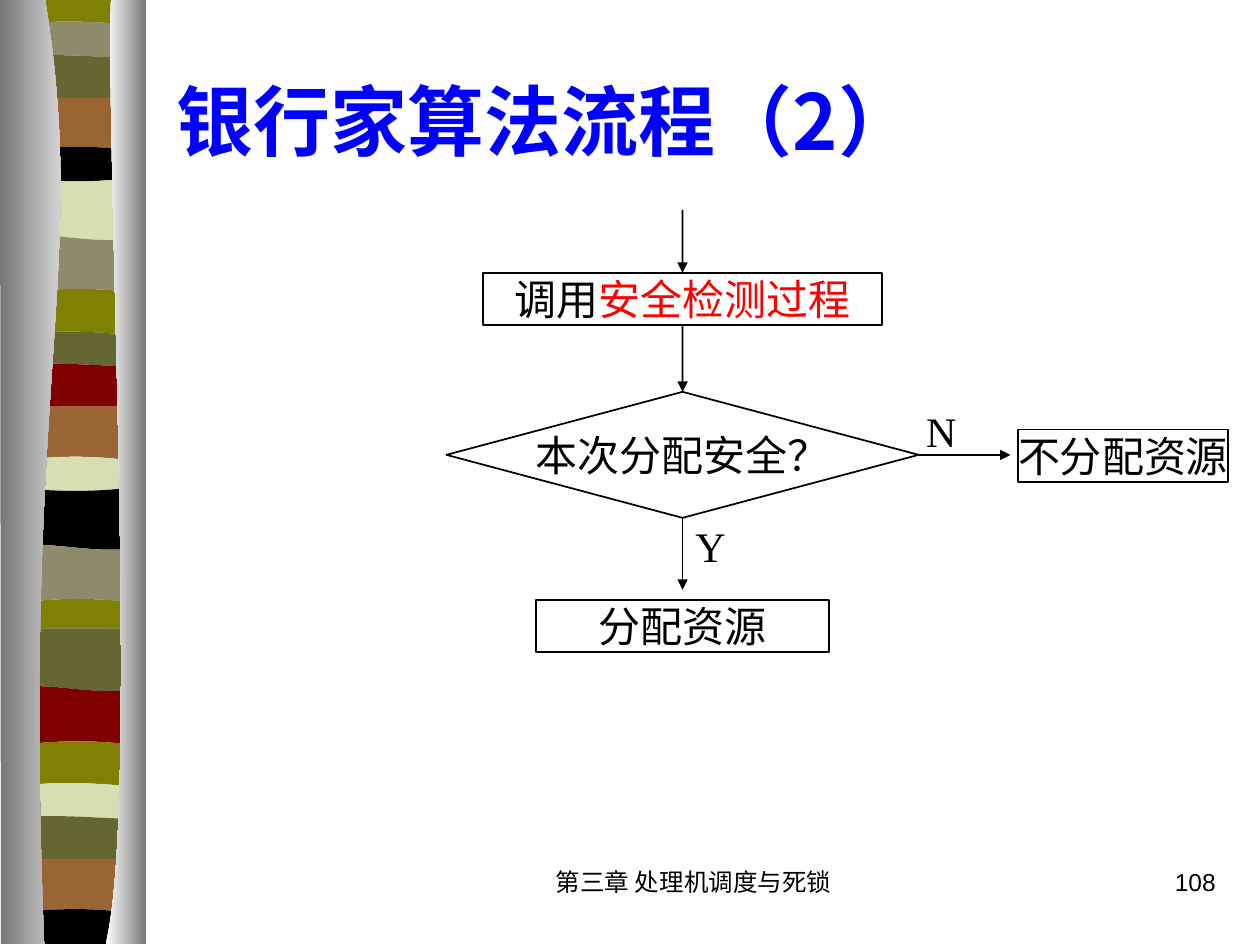
"""Build the banker's algorithm flowchart slide with its striped side border."""
import typing

import lxml.etree
import pptx
import pptx.dml.color
import pptx.enum.shapes
import pptx.enum.text
import pptx.oxml.ns
import pptx.util

Cm = pptx.util.Cm
qn = pptx.oxml.ns.qn
SHAPES = pptx.enum.shapes.MSO_SHAPE
ALIGN = pptx.enum.text.PP_ALIGN
ANCHOR = pptx.enum.text.MSO_ANCHOR
Point = tuple[float, float]

COLORS = {
    "black": "000000", "red": "FF0000", "title": "0000FF",
    "olive": "808000", "taupe": "908A6C", "moss": "666633", "brown": "996633",
    "cream": "D6DEB2", "maroon": "800000", "shade": "767676", "white": "FFFFFF",
}
CJK_FONT = "Noto Sans CJK SC"
BODY_FONT = "Times New Roman"
FOOTER_FONT = "Arial"
AXIS = 13.76
BAND_LEFT, BAND_RIGHT, BAND_BOTTOM = 0.15, 2.88, 19.03

WAVES = {
    "flat": (0, 0, 0, 0), "dip": (0, -0.15, -0.1, 0), "left": (0, -0.13, 0, 0),
    "arch": (0, -0.15, -0.15, 0), "bulge": (0, 0.13, 0.13, 0),
    "swell": (0, -0.15, 0.2, 0), "sag": (0.05, -0.1, -0.1, 0.03),
}


class Band(typing.NamedTuple):
    color: str
    top: float
    wave: str


class Step(typing.NamedTuple):
    kind: int
    left: float
    top: float
    width: float
    height: float
    runs: list[tuple[str, str]]


class Label(typing.NamedTuple):
    text: str
    left: float
    top: float
    width: float
    font: str
    size: float
    align: int


BANDS = [
    Band("olive", 0, "flat"), Band("taupe", 0.53, "dip"),
    Band("moss", 1.17, "left"), Band("brown", 1.98, "flat"),
    Band("black", 3.07, "arch"), Band("cream", 3.56, "bulge"),
    Band("taupe", 4.78, "swell"), Band("olive", 5.89, "sag"),
    Band("moss", 6.78, "dip"), Band("maroon", 7.39, "left"),
    Band("brown", 8.2, "flat"), Band("cream", 9.32, "arch"),
    Band("black", 9.8, "bulge"), Band("taupe", 11.02, "swell"),
    Band("olive", 12.14, "sag"), Band("moss", 12.67, "flat"),
    Band("maroon", 13.87, "swell"), Band("olive", 15.01, "sag"),
    Band("cream", 15.88, "dip"), Band("moss", 16.51, "left"),
    Band("brown", 17.32, "flat"), Band("black", 18.44, "arch"),
]

LEFT_PILLAR = [(0.91, 0), (1.8, 5.49), (0.43, 7.52), (0.89, 19.03), (0.02, 19.03), (0, 0)]
RIGHT_PILLAR = [(2.24, 0), (2.13, 3.18), (2.82, 16.41), (2.13, 19.03), (2.95, 19.03), (2.95, 0)]

STEPS = {
    "check": Step(SHAPES.RECTANGLE, AXIS - 4.02, 5.5, 8.04, 1.06,
                  [("调用", "black"), ("安全检测过程", "red")]),
    "decide": Step(SHAPES.FLOWCHART_DECISION, AXIS - 4.76, 7.9, 9.52, 2.54,
                   [("本次分配安全？", "black")]),
    "grant": Step(SHAPES.RECTANGLE, AXIS - 2.96, 12.09, 5.92, 1.06,
                  [("分配资源", "black")]),
    "refuse": Step(SHAPES.RECTANGLE, 20.52, 8.66, 4.24, 1.06,
                   [("不分配资源", "black")]),
}

LABELS = [
    Label("N", 18.42, 8.05, 1.9, BODY_FONT, 24, ALIGN.LEFT),
    Label("Y", 13.77, 10.36, 1.9, BODY_FONT, 24, ALIGN.LEFT),
    Label("第三章 处理机调度与死锁", 9.96, 17.35, 8.05, FOOTER_FONT, 14, ALIGN.CENTER),
    Label("108", 19.48, 17.35, 5.28, FOOTER_FONT, 14, ALIGN.RIGHT),
]


def rgb(name: str) -> pptx.dml.color.RGBColor:
    return pptx.dml.color.RGBColor.from_string(COLORS[name])


def write(frame, runs: list[tuple[str, str]], *, font: str = BODY_FONT,
          size: float = 24, bold: bool = False, align: int = ALIGN.CENTER,
          anchor: int = ANCHOR.MIDDLE, wrap: bool = True) -> None:
    frame.auto_size = pptx.enum.text.MSO_AUTO_SIZE.NONE
    frame.word_wrap = wrap
    frame.vertical_anchor = anchor
    paragraph = frame.paragraphs[0]
    paragraph.alignment = align
    for text, color in runs:
        run = paragraph.add_run()
        run.text = text
        run.font.name = font
        run.font.size = pptx.util.Pt(size)
        run.font.bold = bold
        run.font.color.rgb = rgb(color)
        east_asian = lxml.etree.SubElement(run.font._element, qn("a:ea"))
        east_asian.set("typeface", CJK_FONT)


def band_edge(band: Band) -> list[Point]:
    span = BAND_RIGHT - BAND_LEFT
    return [(BAND_LEFT + span * index / 3, band.top + offset)
            for index, offset in enumerate(WAVES[band.wave])]


def draw_outline(slide, points: list[Point], curve_starts: tuple[int, ...],
                 colors: list[str]) -> None:
    corners = [(Cm(x), Cm(y)) for x, y in points]
    builder = slide.shapes.build_freeform(*corners[0])
    builder.add_line_segments(corners[1:], close=True)
    outline = builder.convert_to_shape()
    segments = list(outline._element.iter(qn("a:lnTo")))
    for start in curve_starts:
        curve = lxml.etree.Element(qn("a:cubicBezTo"))
        segments[start - 1].addprevious(curve)
        for segment in segments[start - 1:start + 2]:
            curve.append(segment[0])
            segment.getparent().remove(segment)
    outline.shadow.inherit = False
    outline.line.fill.background()
    if len(colors) == 1:
        outline.fill.solid()
        outline.fill.fore_color.rgb = rgb(colors[0])
        return
    outline.fill.gradient()
    outline.fill.gradient_angle = 0
    for stop, color in zip(outline.fill.gradient_stops, colors):
        stop.color.rgb = rgb(color)


def draw_border(slide) -> None:
    edges = [band_edge(band) for band in BANDS]
    edges.append(band_edge(Band("black", BAND_BOTTOM, "flat")))
    for band, upper, lower in zip(BANDS, edges, edges[1:]):
        draw_outline(slide, upper + lower[::-1], (1, 5), [band.color])
    draw_outline(slide, LEFT_PILLAR, (1,), ["shade", "white"])
    draw_outline(slide, RIGHT_PILLAR, (1,), ["white", "shade"])


def draw_step(slide, step: Step):
    node = slide.shapes.add_shape(step.kind, Cm(step.left), Cm(step.top),
                                  Cm(step.width), Cm(step.height))
    node.shadow.inherit = False
    node.fill.background()
    node.line.color.rgb = rgb("black")
    node.line.width = pptx.util.Pt(1)
    write(node.text_frame, step.runs, wrap=False)
    return node


def draw_arrow(slide, start: Point, end: Point, source=None, source_side: int = 2,
               target=None) -> None:
    arrow = slide.shapes.add_connector(pptx.enum.shapes.MSO_CONNECTOR.STRAIGHT,
                                       *(Cm(value) for value in start + end))
    if source is not None:
        arrow.begin_connect(source, source_side)
    if target is not None:
        arrow.end_connect(target, 0)
    arrow.line.color.rgb = rgb("black")
    arrow.line.width = pptx.util.Pt(1)
    tail = lxml.etree.SubElement(arrow.line._get_or_add_ln(), qn("a:tailEnd"))
    tail.set("type", "triangle")
    lxml.etree.SubElement(arrow._element.spPr, qn("a:effectLst"))


def main() -> None:
    deck = pptx.Presentation()
    deck.slide_width, deck.slide_height = Cm(25.4), Cm(19.05)
    slide = deck.slides.add_slide(deck.slide_layouts[5])
    draw_border(slide)

    title = slide.shapes.title
    title.left, title.top, title.width, title.height = Cm(3.3), Cm(1.32), Cm(19.43), Cm(2.18)
    write(title.text_frame, [("银行家算法流程（2）", "title")], font=CJK_FONT,
          size=44, bold=True, align=ALIGN.LEFT)

    nodes = {name: draw_step(slide, step) for name, step in STEPS.items()}
    draw_arrow(slide, (AXIS, 4.23), (AXIS, 5.5), target=nodes["check"])
    draw_arrow(slide, (AXIS, 6.56), (AXIS, 7.9), nodes["check"], target=nodes["decide"])
    draw_arrow(slide, (AXIS, 10.44), (AXIS, 11.89), nodes["decide"])
    draw_arrow(slide, (18.52, 9.17), (20.37, 9.17), nodes["decide"], 3)

    for label in LABELS:
        box = slide.shapes.add_textbox(Cm(label.left), Cm(label.top), Cm(label.width), Cm(1.27))
        write(box.text_frame, [(label.text, "black")], font=label.font, size=label.size,
              align=label.align, anchor=ANCHOR.TOP)
    deck.save("out.pptx")


if __name__ == "__main__":
    main()
